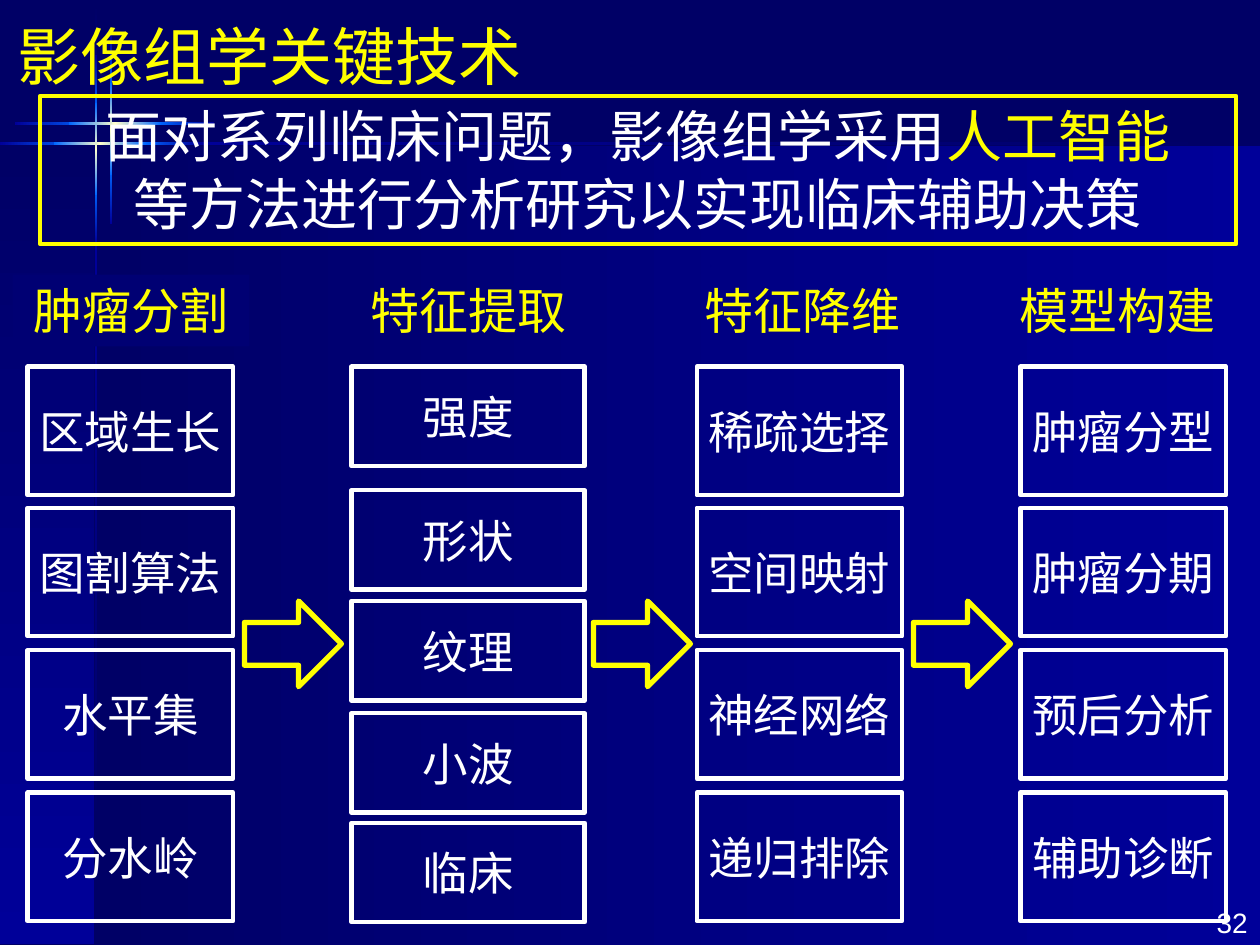
from copy import deepcopy

from pptx import Presentation
from pptx.dml.color import RGBColor
from pptx.enum.shapes import MSO_SHAPE
from pptx.enum.text import MSO_ANCHOR, PP_ALIGN
from pptx.util import Pt

PX = 9144  # 100 px to the inch
RECT, ARROW = MSO_SHAPE.RECTANGLE, MSO_SHAPE.RIGHT_ARROW
TOP, MIDDLE = MSO_ANCHOR.TOP, MSO_ANCHOR.MIDDLE
LEFT, CENTER, RIGHT = PP_ALIGN.LEFT, PP_ALIGN.CENTER, PP_ALIGN.RIGHT
NAVY, BLUE, GLOW, CREAM = "000066", "000099", "0066FF", "FFFFCC"
YELLOW, WHITE = "FFFF00", "FFFFFF"
color = RGBColor.from_string

prs = Presentation()
prs.slide_width, prs.slide_height = 1000 * PX, 750 * PX
slide = prs.slides.add_slide(prs.slide_layouts[5])
shapes = slide.shapes
slide.background.fill.solid()
slide.background.fill.fore_color.rgb = color(NAVY)


def add(kind, box, line=None, width=0):
    """Add an unfilled shape; without a line colour it has no outline."""
    shape = shapes.add_shape(kind, *[n * PX for n in box])
    shape.shadow.inherit = False
    shape.fill.background()
    if line:
        shape.line.color.rgb = color(line)
        shape.line.width = Pt(width)
    else:
        shape.line.fill.background()
    return shape


def write(shape, runs, size, align=CENTER, anchor=TOP, font="Arial", wrap=True):
    """Fill the first paragraph with (text, colour) runs; None breaks the paragraph."""
    frame = shape.text_frame
    frame.word_wrap = wrap
    frame.vertical_anchor = anchor
    para = frame.paragraphs[0]
    for item in runs:
        if item is None:
            para = frame.add_paragraph()
            continue
        run = para.add_run()
        run.text = item[0]
        run.font.color.rgb = color(item[1])
    for para in frame.paragraphs:
        para.alignment = align
        para.font.size = Pt(size)
        para.font.name = font


# Background panels, rules and two glowing crosses: box, colours, runs downwards
bars = [
    ((75, 116, 925, 634), (NAVY, BLUE), False),
    ((0, 115, 75, 634), (NAVY, BLUE), True),
    ((75, 2, 2, 121), (NAVY, BLUE), True),
    ((75, 194, 2, 468), (BLUE, NAVY), True),
    ((153, 113, 823, 2), (BLUE, NAVY), False),
]
for dx, dy in ((0, 0), (12, -16)):
    x, y = 75 + dx, 113 + dy
    bars += [
        ((x + 39, y, 44, 2), (GLOW, BLUE), False),
        ((x - 75 + dx // 12 * 0, y, 61, 2), (BLUE, GLOW), False),
        ((x, y + 37, 2, 44), (GLOW, BLUE), True),
        ((x, y - 69, 2, 44), (BLUE, GLOW), True),
        ((x - 32, y, 73, 2), (GLOW, CREAM, GLOW), False),
        ((x, y - 31, 2, 73), (GLOW, CREAM, GLOW), True),
    ]
for box, tones, down in bars:
    fill = add(RECT, box).fill
    fill.gradient()
    fill.gradient_angle = 270 if down else 0
    if len(tones) == 3:
        first = fill.gradient_stops[0]._gs
        first.addnext(deepcopy(first))
    for i, (stop, tone) in enumerate(zip(fill.gradient_stops, tones)):
        stop.color.rgb = color(tone)
        stop.position = i / (len(tones) - 1)

number = shapes.add_textbox(902 * PX, 714 * PX, 98 * PX, 37 * PX)
write(number, [("32", WHITE)], 16, RIGHT)

title = shapes.title
shapes._spTree.append(title._element)  # in front of the background
title.left, title.top, title.width, title.height = [n * PX for n in (4, 4, 969, 80)]
write(title, [("影像组学关键技术", YELLOW)], 36, LEFT, MIDDLE)

claim = add(RECT, (32, 76, 949, 118), YELLOW, 2.25)
write(claim, [("面对系列临床问题，影像组学采用", WHITE), ("人工智能", YELLOW), None,
              ("等方法进行分析研究以实现临床辅助决策", WHITE)], 32)

heads = [("肿瘤分割", 10, 188), ("特征提取", 274, 195),
         ("特征降维", 536, 202), ("模型构建", 786, 202)]
for text, x, width in heads:
    head = add(RECT, (x, 218, width, 57))
    if text == "肿瘤分割":
        head.fill.solid()
        head.fill.fore_color.rgb = color("000073")
    write(head, [(text, YELLOW)], 28)

# Columns: left, width, height, tops, fonts, steps
FOUR = (291, 403, 516, 629)
columns = [
    (22, 163, 102, FOUR, ["Roboto"] * 4, ["区域生长", "图割算法", "水平集", "分水岭"]),
    (279, 185, 79, (291, 389, 477, 566, 653), ["Noto Sans CJK SC"] * 5,
     ["强度", "形状", "纹理", "小波", "临床"]),
    (553, 163, 102, FOUR, ["Arial", "Roboto", "Roboto", "Arial"],
     ["稀疏选择", "空间映射", "神经网络", "递归排除"]),
    (810, 163, 102, FOUR, ["Arial"] * 4, ["肿瘤分型", "肿瘤分期", "预后分析", "辅助诊断"]),
]
for x, width, height, tops, fonts, steps in columns:
    for y, font, step in zip(tops, fonts, steps):
        cell = add(RECT, (x, y, width, height), WHITE, 2.5)
        write(cell, [(step, WHITE)], 26, anchor=MIDDLE, font=font, wrap=False)

for x in (194, 471, 725):
    add(ARROW, (x, 477, 77, 68), YELLOW, 3)

prs.save("out.pptx")
